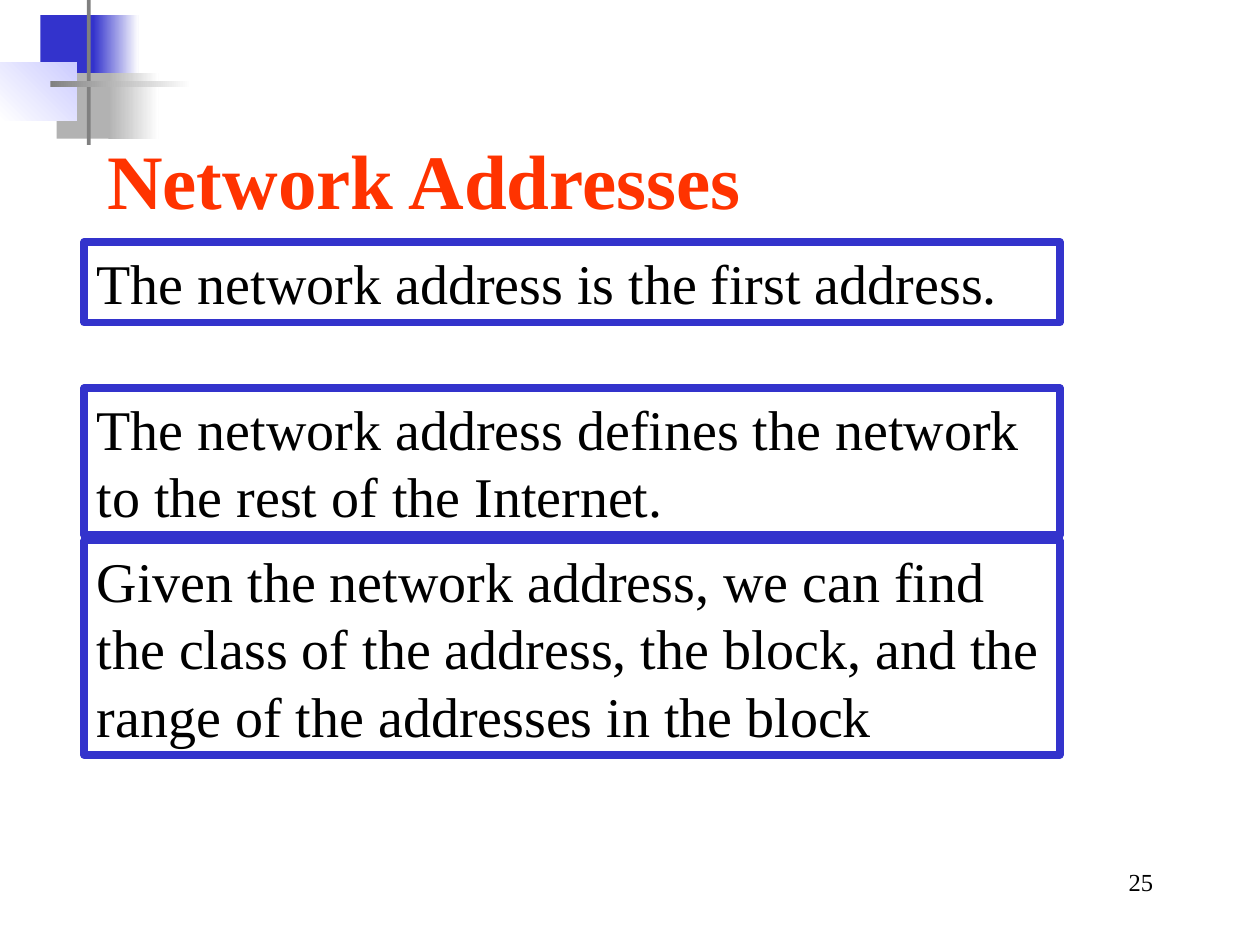
from pptx import Presentation
from pptx import util as u
from pptx.dml.color import RGBColor
from pptx.enum import shapes, text

BLUE = RGBColor(0x33, 0x33, 0xCC)
PALE = RGBColor(0xCC, 0xCC, 0xFF)
GREY = RGBColor(0xB2, 0xB2, 0xB2)
DARK = RGBColor(0x80, 0x80, 0x80)
WHITE = RGBColor(0xFF, 0xFF, 0xFF)
BLACK = RGBColor(0, 0, 0)
RED = RGBColor(0xFF, 0x33, 0)


class Deck:
    """Holds the text style and the current slide."""

    font = "Times New Roman"

    def __init__(self, slide):
        self.slide = slide

    def label(self, shape, words, size, color=BLACK, bold=False,
              align=text.PP_ALIGN.LEFT):
        frame = shape.text_frame
        frame.text = words
        form = {"word_wrap": True, "auto_size": text.MSO_AUTO_SIZE.NONE,
                "vertical_anchor": text.MSO_ANCHOR.TOP}
        for key, value in form.items():
            setattr(frame, key, value)
        para = frame.paragraphs[0]
        para.alignment = align
        font = para.runs[0].font
        form = {"name": self.font, "size": u.Pt(size), "bold": bold}
        for key, value in form.items():
            setattr(font, key, value)
        font.color.rgb = color

    def title(self, words, *area):
        shape = self.slide.shapes.title
        for key, value in zip(("left", "top", "width", "height"), area):
            setattr(shape, key, u.Inches(value))
        self.label(shape, words, 44, RED, True)

    def rect(self, *area):
        shape = self.slide.shapes.add_shape(
            shapes.MSO_SHAPE.RECTANGLE, *map(u.Inches, area))
        shape.shadow.inherit = False
        return shape

    def block(self, area, start, end=None, angle=0):
        """Draw a borderless bar, plain or fading from start to end."""
        shape = self.rect(*area)
        shape.line.fill.background()
        fill = shape.fill
        if end is None:
            fill.solid()
            fill.fore_color.rgb = start
            return
        fill.gradient()
        fill.gradient_angle = angle
        for stop, color, place in zip(fill.gradient_stops, (start, end), (0, 1)):
            stop.color.rgb = color
            stop.position = place

    def frame(self, words, *area):
        shape = self.rect(*area)
        shape.fill.background()
        shape.line.color.rgb = BLUE
        shape.line.width = u.Pt(4.5)
        self.label(shape, words, 32)

    def number(self, words, *area):
        box = self.slide.shapes.add_textbox(*map(u.Inches, area))
        self.label(box, words, 14, align=text.PP_ALIGN.RIGHT)


def main():
    show = Presentation()
    show.slide_width, show.slide_height = u.Inches(10), u.Inches(7.5)
    deck = Deck(show.slides.add_slide(show.slide_layouts[5]))

    # Corner ornament
    deck.block((0.32, 0.12, 0.48, 0.52), BLUE)
    deck.block((0.74, 0.12, 0.36, 0.52), BLUE, WHITE)
    deck.block((0.45, 0.58, 0.46, 0.52), GREY)
    deck.block((0.86, 0.58, 0.4, 0.52), GREY, WHITE)
    deck.block((0, 0.5, 0.61, 0.46), WHITE, PALE, 45)
    deck.block((0.69, 0, 0.03, 1.15), DARK)
    deck.block((0.4, 0.64, 1.12, 0.05), DARK, WHITE)

    # Title and slide number
    deck.title("Network Addresses", 0.75, 1, 6.96, 0.84)
    deck.number("25", 7.17, 6.83, 2.08, 0.5)

    # Framed statements
    for top, high, words in (
        (1.92, 0.64, "The network address is the first address."),
        (3.08, 1.17, "The network address defines the network "
                     "to the rest of the Internet."),
        (4.29, 1.7, "Given the network address, we can find the class of the "
                    "address, the block, and the range of the addresses "
                    "in the block"),
    ):
        deck.frame(words, 0.67, top, 7.74, high)

    show.save("out.pptx")


if __name__ == "__main__":
    main()
